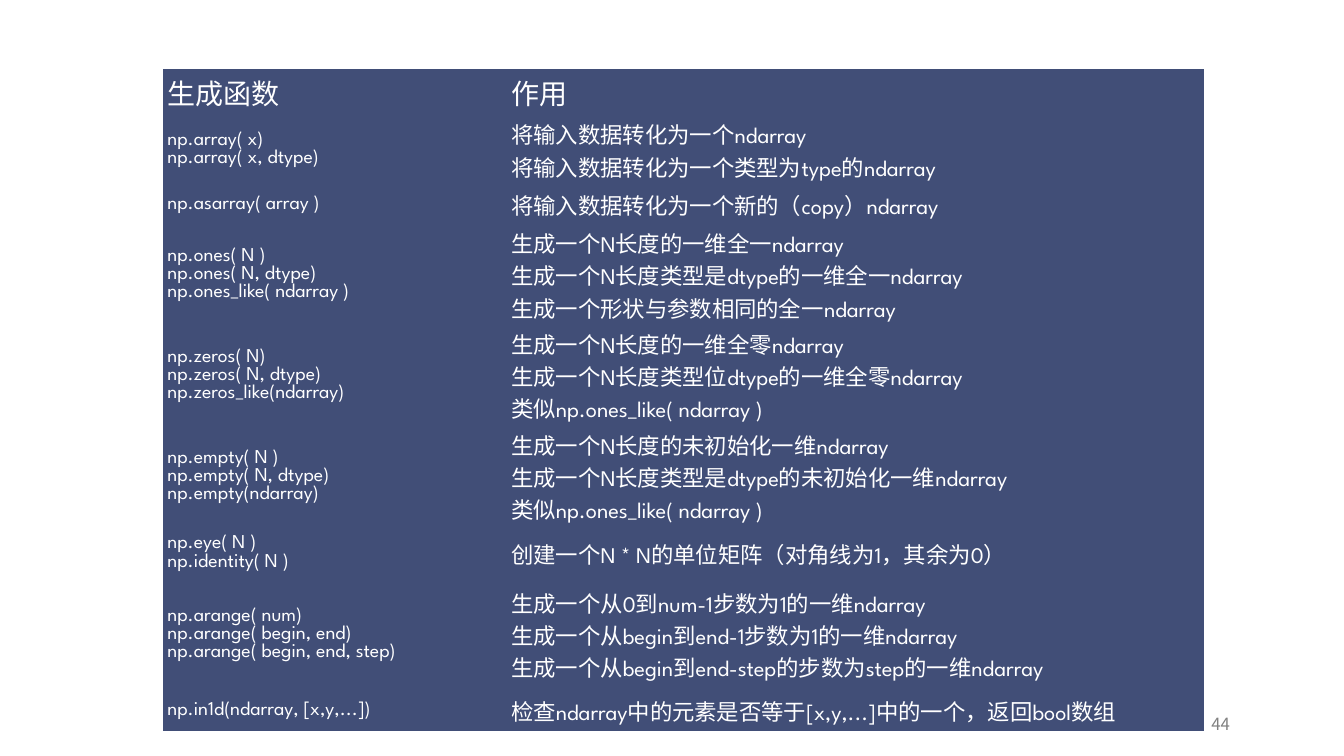
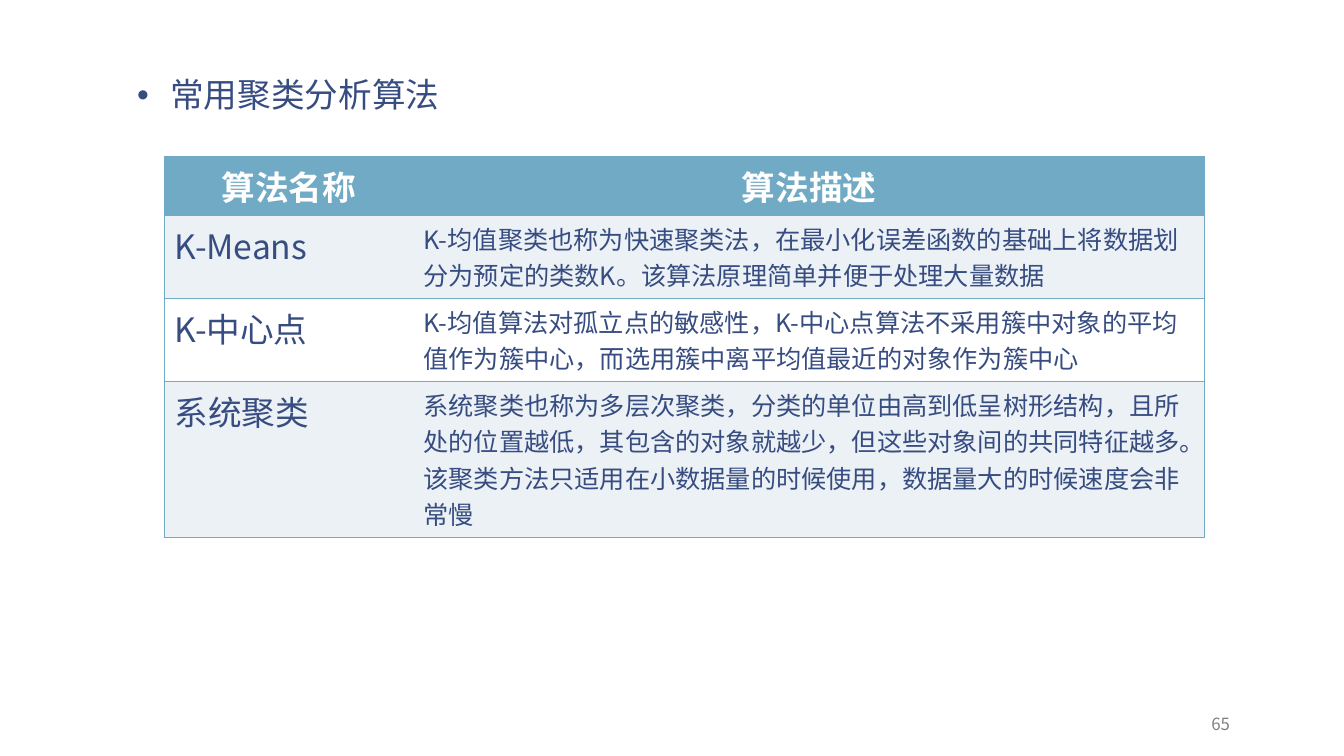
import pptx
import pptx.dml.color
import pptx.enum.text
import pptx.oxml
import pptx.oxml.ns
import pptx.util
from lxml import etree

Inches = pptx.util.Inches
Pt = pptx.util.Pt
Align = pptx.enum.text.PP_ALIGN
Anchor = pptx.enum.text.MSO_ANCHOR
qn = pptx.oxml.ns.qn

# Shared look
SPARTAN, NOTO = "League Spartan", "Noto Sans CJK SC"
WHITE, GRAY = "FFFFFF", "808080"
NAVY, INK, TEAL, PALE = "414E77", "374C81", "70AAC4", "EBF1F5"
NO_STYLE = "{2D5ABB26-0587-4C30-8999-92F81FD0307C}"

FUNCS = [
    ("生成函数", "作用"),
    ("np.array( x)\nnp.array( x, dtype)",
     "将输入数据转化为一个ndarray\n将输入数据转化为一个类型为type的ndarray"),
    ("np.asarray( array )", "将输入数据转化为一个新的（copy）ndarray"),
    ("np.ones( N )\nnp.ones( N, dtype)\nnp.ones_like( ndarray )",
     "生成一个N长度的一维全一ndarray\n生成一个N长度类型是dtype的一维全一ndarray\n"
     "生成一个形状与参数相同的全一ndarray"),
    ("np.zeros( N)\nnp.zeros( N, dtype)\nnp.zeros_like(ndarray)",
     "生成一个N长度的一维全零ndarray\n生成一个N长度类型位dtype的一维全零ndarray\n"
     "类似np.ones_like( ndarray )"),
    ("np.empty( N )\nnp.empty( N, dtype)\nnp.empty(ndarray)",
     "生成一个N长度的未初始化一维ndarray\n生成一个N长度类型是dtype的未初始化一维ndarray\n"
     "类似np.ones_like( ndarray )"),
    ("np.eye( N )\nnp.identity( N )",
     "创建一个N * N的单位矩阵（对角线为1，其余为0）"),
    ("np.arange( num)\nnp.arange( begin, end)\nnp.arange( begin, end, step)",
     "生成一个从0到num-1步数为1的一维ndarray\n生成一个从begin到end-1步数为1的一维ndarray\n"
     "生成一个从begin到end-step的步数为step的一维ndarray"),
    ("np.in1d(ndarray, [x,y,...])",
     "检查ndarray中的元素是否等于[x,y,...]中的一个，返回bool数组"),
]
FUNC_ROWS = [0.47, 0.58, 0.4, 0.92, 0.85, 0.92, 0.52, 1.1, 0.4]

METHODS = [
    ("算法名称", "算法描述"),
    ("K-Means", "K-均值聚类也称为快速聚类法，在最小化误差函数的基础上将数据划分为预定的类数K。"
                "该算法原理简单并便于处理大量数据"),
    ("K-中心点", "K-均值算法对孤立点的敏感性，K-中心点算法不采用簇中对象的平均值作为簇中心，"
                 "而选用簇中离平均值最近的对象作为簇中心"),
    ("系统聚类", "系统聚类也称为多层次聚类，分类的单位由高到低呈树形结构，且所处的位置越低，"
                 "其包含的对象就越少，但这些对象间的共同特征越多。"
                 "该聚类方法只适用在小数据量的时候使用，数据量大的时候速度会非常慢"),
]


def paint(code):
    return pptx.dml.color.RGBColor.from_string(code)


def style(frame, size, face, color, bold=False, align=Align.LEFT):
    """Format every run of a text frame."""
    for para in frame.paragraphs:
        para.alignment = align
        for run in para.runs:
            font = run.font
            font.size, font.name, font.bold = Pt(size), face, bold
            font.color.rgb = paint(color)
            east = etree.SubElement(run._r.get_or_add_rPr(), qn("a:ea"))
            east.set("typeface", NOTO)


def inset(part, side, top, low):
    part.margin_left = part.margin_right = Inches(side)
    part.margin_top, part.margin_bottom = Inches(top), Inches(low)


def rule(cell, sides):
    """Draw one-point lines on the given sides, in the order L, R, T, B."""
    props = cell._tc.get_or_add_tcPr()
    for side in sides:
        line = etree.SubElement(props, qn("a:ln" + side), w=str(Pt(1)))
        fill = etree.SubElement(line, qn("a:solidFill"))
        etree.SubElement(fill, qn("a:srgbClr"), val=TEAL)


def grid(slide, box, cols, rows, data):
    """Add an unstyled table and yield each cell with its row and column."""
    shape = slide.shapes.add_table(len(rows), len(cols), *map(Inches, box))
    table = shape.table
    table.first_row = table.horz_banding = False
    table._tbl.tblPr.find(qn("a:tableStyleId")).text = NO_STYLE
    for col, width in zip(table.columns, cols):
        col.width = Inches(width)
    for row, height in zip(table.rows, rows):
        row.height = Inches(height)
    for r, texts in enumerate(data):
        for c, text in enumerate(texts):
            cell = table.cell(r, c)
            cell.text_frame.text = text
            yield cell, r, c


def number(slide, text):
    box = slide.shapes.add_textbox(*map(Inches, (11.12, 7, 1.21, 0.35)))
    frame = box.text_frame
    frame.word_wrap = True
    frame.vertical_anchor = Anchor.BOTTOM
    inset(frame, 0.13, 0.07, 0.07)
    frame.text = text
    style(frame, 12, NOTO, GRAY, align=Align.RIGHT)


def funcs(slide, box):
    """Table of array functions."""
    for cell, r, c in grid(slide, box, [3.41, 6.91], FUNC_ROWS, FUNCS):
        cell.vertical_anchor = Anchor.MIDDLE
        inset(cell, 0.04, 0.02, 0.02)
        cell.fill.solid()
        cell.fill.fore_color.rgb = paint(NAVY)
        size = 20 if r == 0 else (14, 16)[c]
        style(cell.text_frame, size, SPARTAN, WHITE)


def methods(slide, box):
    """Ruled table of clustering methods."""
    for cell, r, c in grid(slide, box, [2.47, 7.85], [0.41] * 4, METHODS):
        rule(cell, ("LTB", "RTB")[c])
        head = r == 0
        cell.fill.solid()
        cell.fill.fore_color.rgb = paint(TEAL if head else (WHITE, PALE)[r % 2])
        if head:
            style(cell.text_frame, 24, SPARTAN, WHITE, True, Align.CENTER)
        else:
            style(cell.text_frame, (24, 18)[c], NOTO, INK)


def bullet(slide, box, text):
    """List in the body placeholder."""
    body = slide.placeholders[1]
    body.left, body.top, body.width, body.height = map(Inches, box)
    frame = body.text_frame
    frame.auto_size = pptx.enum.text.MSO_AUTO_SIZE.NONE
    inset(frame, 0.13, 0, 0.07)
    frame.text = text
    para = frame.paragraphs[0]
    para.line_spacing, para.space_before = 0.95, Pt(0)
    props = para._p.get_or_add_pPr()
    props.set("marL", str(Inches(0.33)))
    props.set("indent", str(Inches(-0.33)))
    style(frame, 24, NOTO, INK)


def main():
    deck = pptx.Presentation()
    deck.slide_width, deck.slide_height = Inches(13.33), Inches(7.5)

    # Array functions
    slide = deck.slides.add_slide(deck.slide_layouts[6])
    funcs(slide, (1.62, 0.68, 10.32, 6.17))
    number(slide, "44")

    # Clustering methods
    slide = deck.slides.add_slide(deck.slide_layouts[1])
    title = slide.shapes.title.element
    title.getparent().remove(title)
    bullet(slide, (1.23, 0.76, 11.11, 5.99), "常用聚类分析算法")
    methods(slide, (1.63, 1.55, 10.32, 3.2))
    number(slide, "65")

    deck.save("out.pptx")


if __name__ == "__main__":
    main()
